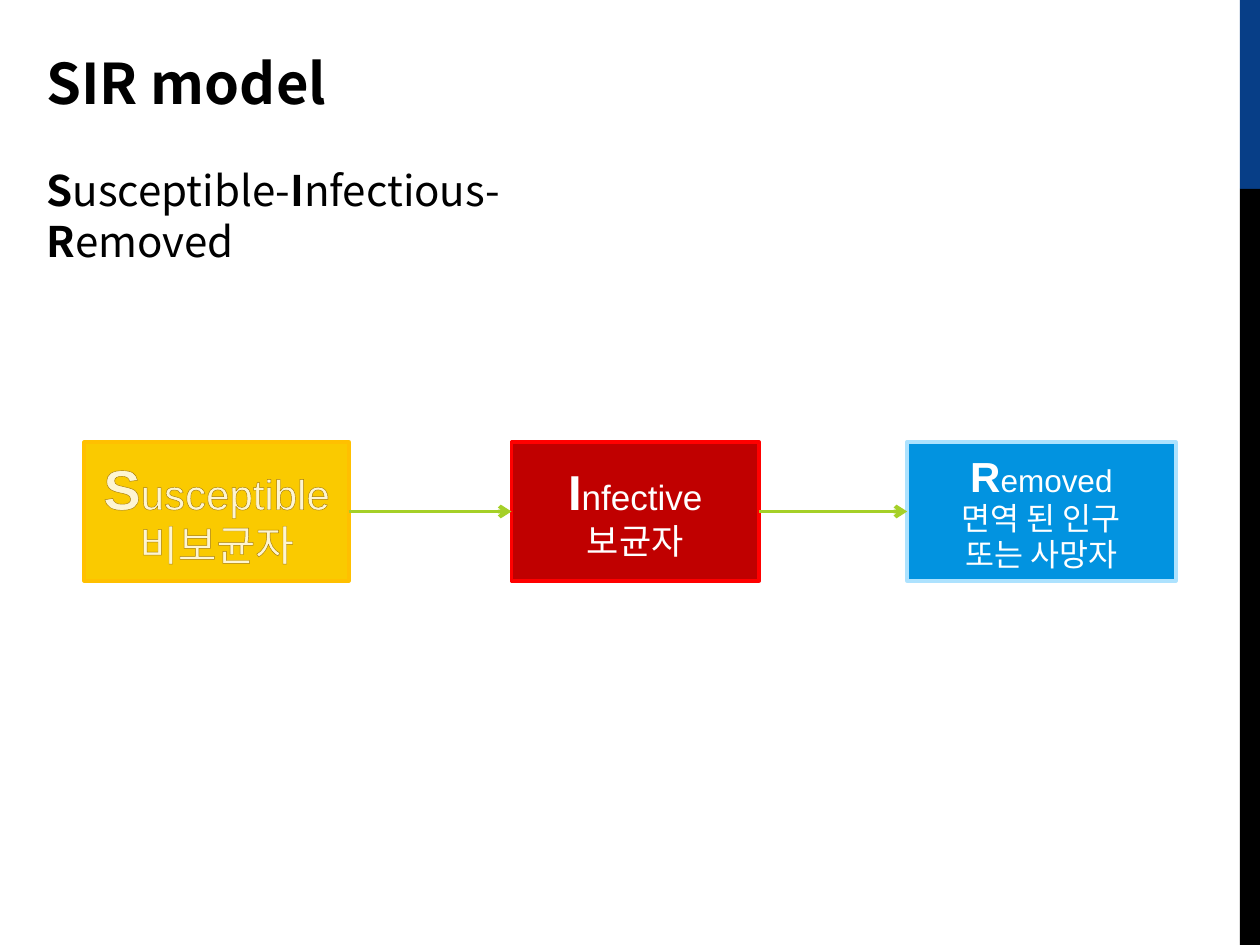
from lxml import etree
from pptx import Presentation
from pptx.dml.color import RGBColor
from pptx.enum.shapes import MSO_CONNECTOR as CONN, MSO_SHAPE as SHAPE
from pptx.enum.text import MSO_ANCHOR as ANCHOR, MSO_AUTO_SIZE as AUTO, PP_ALIGN as ALIGN
from pptx.oxml import parse_xml
from pptx.oxml.ns import nsdecls, qn
from pptx.util import Pt


def rgb(value):
    return RGBColor.from_string(value)


class Deck:
    LATIN = "Arial"
    KOREAN = "Noto Sans CJK KR"
    LINE = 2.25
    ARROW = "A5D028"

    def __init__(self, width, height):
        self.prs = Presentation()
        self.prs.slide_width, self.prs.slide_height = Pt(width), Pt(height)
        self.slide = self.prs.slides.add_slide(self.prs.slide_layouts[1])

    def run(self, p, text, size, font, color, bold=False):
        r = p.add_run()
        r.text = text
        r.font.size, r.font.name, r.font.bold = Pt(size), font, bold
        r.font.color.rgb = rgb(color)
        return r

    def heading(self, sp, top, height, size, leading, runs):
        """Fill a placeholder with one plain left-aligned paragraph."""
        sp.left, sp.top, sp.width, sp.height = Pt(19.4), Pt(top), Pt(370.8), Pt(height)
        tf = sp.text_frame
        tf.word_wrap, tf.auto_size = True, AUTO.NONE
        tf.vertical_anchor = ANCHOR.TOP
        p = tf.paragraphs[0]
        pPr = p._p.get_or_add_pPr()
        pPr.set("marL", "0")
        pPr.set("indent", "0")
        etree.SubElement(pPr, qn("a:buNone"))
        p.alignment, p.line_spacing, p.space_before = ALIGN.LEFT, Pt(leading), Pt(0)
        for text, bold in runs:
            self.run(p, text, size, self.KOREAN, "000000", bold)

    def rect(self, left, top, width, height, fill, line=None):
        sp = self.slide.shapes.add_shape(
            SHAPE.RECTANGLE, Pt(left), Pt(top), Pt(width), Pt(height))
        sp.shadow.inherit = False
        sp.fill.solid()
        sp.fill.fore_color.rgb = rgb(fill)
        if line:
            sp.line.color.rgb = rgb(line)
            sp.line.width = Pt(self.LINE)
        else:
            sp.line.fill.background()
        return sp

    def outline(self, r):
        """Give the letters a hairline, slightly transparent outline."""
        r._r.get_or_add_rPr().insert(0, parse_xml(
            f'<a:ln {nsdecls("a")} w="1270"><a:solidFill><a:srgbClr val="936A08">'
            '<a:alpha val="82000"/></a:srgbClr></a:solidFill>'
            '<a:prstDash val="solid"/></a:ln>'))

    def state(self, left, width, fill, line, word, sizes, korean, font, outlined=False):
        """A compartment: large initial, rest of the word, Korean lines."""
        sp = self.rect(left, 252.7, width, 79.2, fill, line)
        tf = sp.text_frame
        tf.word_wrap, tf.vertical_anchor = True, ANCHOR.MIDDLE
        big, small = sizes
        p = tf.paragraphs[0]
        p.alignment = ALIGN.CENTER
        runs = [self.run(p, word[0], big, self.LATIN, "FFFFFF", True),
                self.run(p, word[1:], small, self.LATIN, "FFFFFF")]
        for text in korean:
            p = tf.add_paragraph()
            p.alignment, p.line_spacing = ALIGN.CENTER, Pt(round(small * 1.15, 1))
            runs.append(self.run(p, text, small, font, "FFFFFF"))
        if outlined:
            for r in runs:
                self.outline(r)
        return sp

    def arrow(self, start, end):
        cx = self.slide.shapes.add_connector(CONN.STRAIGHT, 0, 0, 0, 0)
        cx.begin_connect(start, 3)
        cx.end_connect(end, 1)
        cx.line.color.rgb = rgb(self.ARROW)
        cx.line.width = Pt(self.LINE)
        etree.SubElement(cx.line._get_or_add_ln(), qn("a:tailEnd"), type="arrow")
        etree.SubElement(cx._element.spPr, qn("a:effectLst"))


def main():
    deck = Deck(720, 540)

    # Side bar
    deck.rect(708.5, 0, 11.5, 108, "073E87")
    deck.rect(708.5, 108, 11.5, 432, "000000")

    # Title and full name of the model
    title, body = deck.slide.placeholders
    deck.heading(title, 23.5, 46, 32, 38.9, [("SIR model", True)])
    deck.heading(body, 90, 66, 24, 29.2, [
        ("S", True), ("usceptible-", False), ("I", True),
        ("nfectious-", False), ("R", True), ("emoved", False)])

    # Compartments
    states = [
        deck.state(48.2, 151.2, "FACA00", "FFC000", "Susceptible", (32, 24),
                   ["비보균자"], deck.KOREAN, outlined=True),
        deck.state(292.3, 141.5, "C00000", "FF0000", "Infective", (28, 20),
                   ["보균자"], deck.KOREAN),
        deck.state(518.4, 153.4, "0293E0", "ADE2FE", "Removed", (24, 18),
                   ["면역 된 인구", "또는 사망자"], deck.LATIN),
    ]

    # Flow between neighbours
    for start, end in zip(states, states[1:]):
        deck.arrow(start, end)

    deck.prs.save("out.pptx")


if __name__ == "__main__":
    main()
